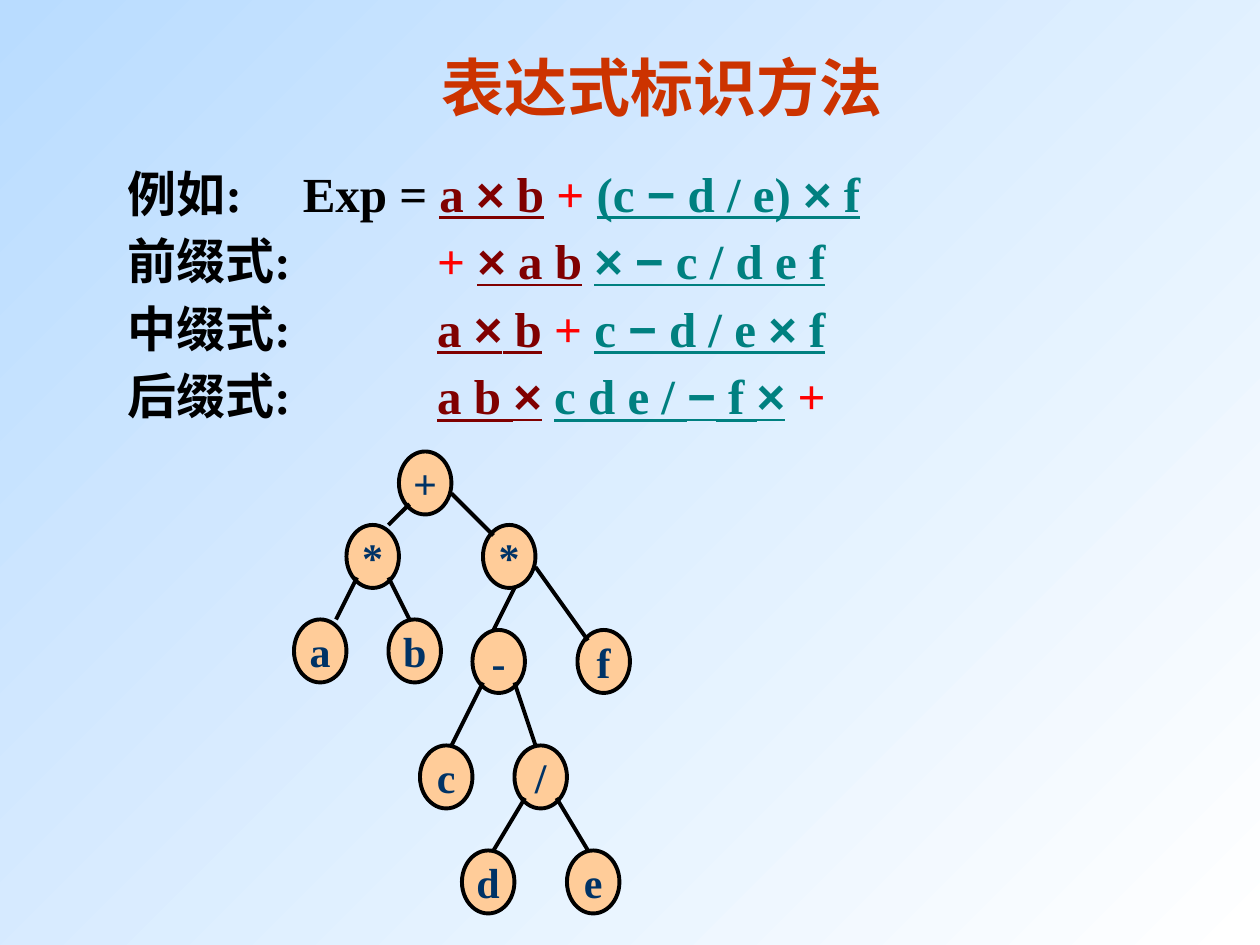
"""Build a slide on infix, prefix and postfix forms of an expression with its tree."""
import itertools

import lxml.etree
import pptx
import pptx.dml.color
import pptx.enum.shapes
import pptx.enum.text
import pptx.oxml.ns
import pptx.util

Cm = pptx.util.Cm
Pt = pptx.util.Pt
qn = pptx.oxml.ns.qn
COLORS = {
    "sky": "B9DCFF", "white": "FFFFFF", "title": "CC3300", "text": "000000",
    "left": "800000", "root": "FF0000", "right": "008080",
    "node": "FFCC99", "label": "003366", "line": "000000",
}
SERIF = "Times New Roman"
UNIT = Cm(2.54) // 12


def rgb(name):
    return pptx.dml.color.RGBColor.from_string(COLORS[name])


def add_run(p, text, size=28, font=SERIF, color="text", underline=False):
    r = p.add_run()
    r.text = text
    r.font.size = Pt(size)
    r.font.name = font
    r.font.bold = True
    r.font.underline = underline
    r.font.color.rgb = rgb(color)
    return r


prs = pptx.Presentation()
prs.slide_width, prs.slide_height = Cm(25.4), Cm(19.05)
s = prs.slides.add_slide(prs.slide_layouts[1])
fill = s.background.fill
fill.gradient()
fill.gradient_angle = 315
for stop, name in zip(fill.gradient_stops, ("sky", "white")):
    stop.color.rgb = rgb(name)

title, body = s.placeholders
frames = [
    (title, (1.69, 0.86, 23.32, 1.78)),
    (body, (2.32, 3.16, 19.96, 5.54)),
]
for sp, box in frames:
    sp.left, sp.top, sp.width, sp.height = (Cm(v) for v in box)
    tf = sp.text_frame
    tf.word_wrap = True
    tf.auto_size = pptx.enum.text.MSO_AUTO_SIZE.SHAPE_TO_FIT_TEXT
    tf.vertical_anchor = pptx.enum.text.MSO_ANCHOR.TOP

p = title.text_frame.paragraphs[0]
p.alignment = pptx.enum.text.PP_ALIGN.CENTER
r = add_run(p, "表达式标识方法", size=36, font="Noto Sans CJK SC", color="title")
lxml.etree.SubElement(r.font._element, qn("a:ea"), typeface="Noto Sans CJK SC")

LINES = [
    (3.53, 1, [("text", "例如:\tExp = "), ("left", "a × b"), ("text", " "),
               ("root", "+ "), ("right", "(c − d / e) × f")]),
    (6.24, 1.15, [("text", "前缀式:\t"), ("root", "+ "), ("left", "× a b"),
                  ("text", " "), ("right", "× − c / d e f")]),
    (6.24, 1.15, [("text", "中缀式:\t"), ("left", "a × b"), ("text", " "),
                  ("root", "+ "), ("right", "c − d / e × f")]),
    (6.24, 1.15, [("text", "后缀式:\t"), ("left", "a b ×"), ("text", " "),
                  ("right", "c d e / − f ×"), ("text", " "), ("root", "+")]),
]
tf = body.text_frame
for i, (tab, spacing, parts) in enumerate(LINES):
    p = tf.add_paragraph() if i else tf.paragraphs[0]
    pPr = p._p.get_or_add_pPr()
    for name, value in (("marL", 0), ("indent", 0), ("defTabSz", int(Cm(tab)))):
        pPr.set(name, str(value))
    lxml.etree.SubElement(pPr, qn("a:buNone"))
    p.line_spacing = spacing
    p.space_before = Pt(0)
    for color, text in parts:
        for is_sign, chars in itertools.groupby(text, key=lambda c: c in "×−"):
            add_run(p, "".join(chars), font="Arial" if is_sign else SERIF,
                    color=color, underline=color in ("left", "right"))

NODES = [
    ("b", 37, 59), ("-", 45, 60), ("c", 40, 71), ("a", 28, 59),
    ("/", 49, 71), ("*", 33, 50), ("d", 44, 81), ("e", 54, 81),
    ("f", 55, 60), ("*", 46, 50), ("+", 38, 43),
]
for text, x, y in NODES:
    sp = s.shapes.add_shape(pptx.enum.shapes.MSO_SHAPE.OVAL,
                            x * UNIT, y * UNIT, 5 * UNIT, 6 * UNIT)
    sp.shadow.inherit = False
    sp.fill.solid()
    sp.fill.fore_color.rgb = rgb("node")
    sp.line.color.rgb = rgb("line")
    sp.line.width = Pt(2.25)
    tf = sp.text_frame
    tf.word_wrap = False
    tf.vertical_anchor = pptx.enum.text.MSO_ANCHOR.MIDDLE
    p = tf.paragraphs[0]
    p.alignment = pptx.enum.text.PP_ALIGN.CENTER
    add_run(p, text, size=24, color="label")

EDGES = [
    (39, 48, 37, 50), (43, 47, 47, 51), (34, 55, 32, 59), (37, 55, 39, 59),
    (49, 56, 47, 60), (51, 54, 56, 61), (46, 65, 43, 71), (49, 65, 51, 71),
    (50, 76, 47, 81), (53, 76, 56, 81),
]
for edge in EDGES:
    line = s.shapes.add_connector(pptx.enum.shapes.MSO_CONNECTOR.STRAIGHT,
                                  *(v * UNIT for v in edge))
    line.line.color.rgb = rgb("line")
    line.line.width = Pt(2.25)
    lxml.etree.SubElement(line._element.spPr, qn("a:effectLst"))

prs.save("out.pptx")
